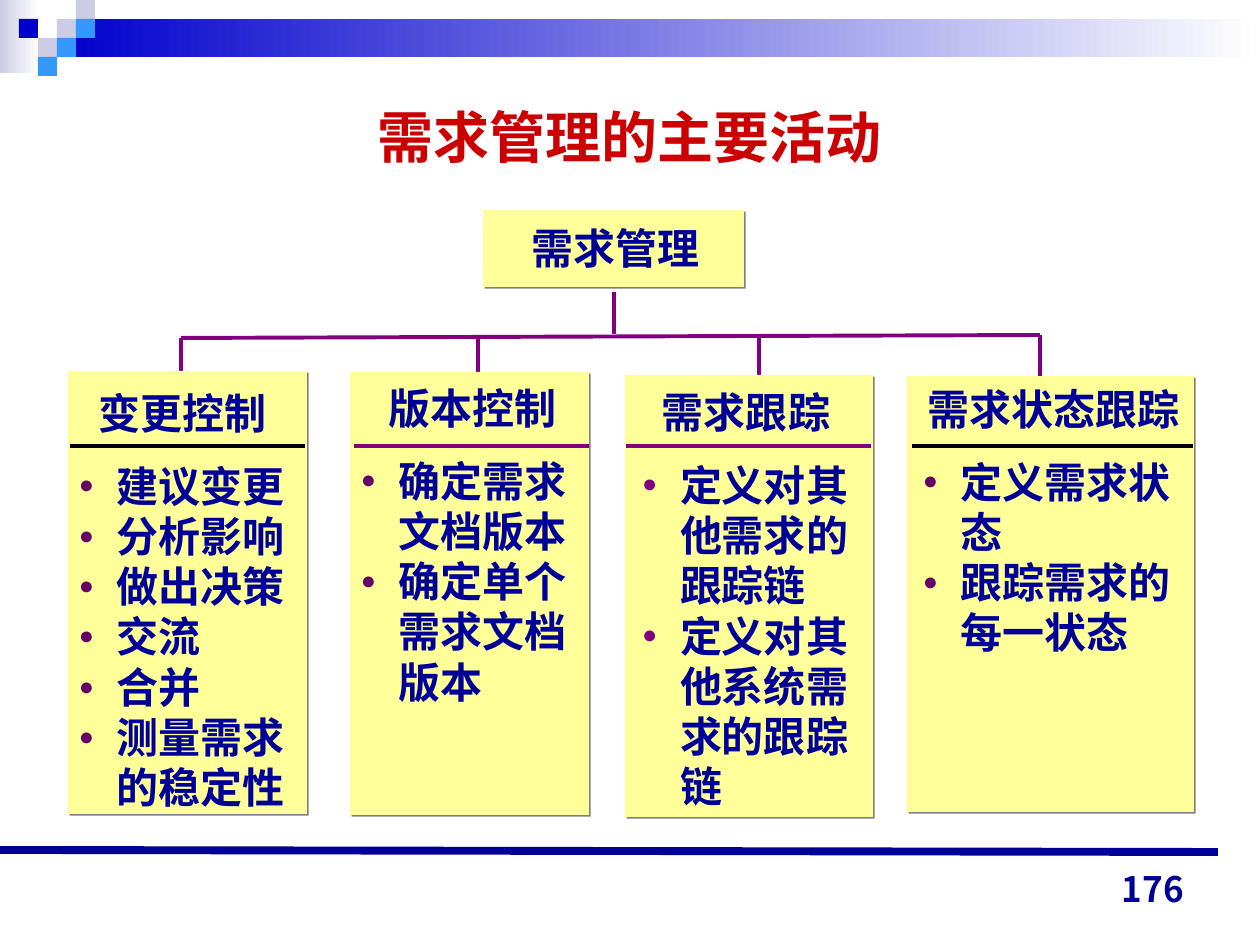
from dataclasses import dataclass

from lxml import etree
from pptx import Presentation
from pptx.dml.color import RGBColor
from pptx.enum.shapes import MSO_CONNECTOR, MSO_SHAPE
from pptx.enum.text import MSO_ANCHOR, PP_ALIGN
from pptx.oxml.ns import qn
from pptx.util import Emu, Pt

RECT, STRAIGHT = MSO_SHAPE.RECTANGLE, MSO_CONNECTOR.STRAIGHT
LEFT, CENTER, RIGHT = PP_ALIGN.LEFT, PP_ALIGN.CENTER, PP_ALIGN.RIGHT
TOP, MIDDLE, BOTTOM = MSO_ANCHOR.TOP, MSO_ANCHOR.MIDDLE, MSO_ANCHOR.BOTTOM
PX_PER_INCH = 126


@dataclass(frozen=True)
class Theme:
    navy: str = "000099"
    blue: str = "0000CC"
    sky: str = "3399FF"
    lavender: str = "CCCCE6"
    red: str = "CC0000"
    purple: str = "800080"
    plum: str = "660066"
    yellow: str = "FFFF99"
    shadow: str = "808080"
    white: str = "FFFFFF"
    black: str = "000000"
    title_size: int = 32
    body_size: int = 24
    number_size: int = 20
    body_leading: float = 28.75
    list_gap: float = 12.5
    title_font: str = "Arial"
    body_font: str = "Times New Roman"
    cjk_font: str = "Noto Sans CJK JP"


THEME = Theme()

# card box, text box, stem (x, top), heading indent (None = centred),
# rule (x from, x to, colour), bullet colour, heading, items
BRANCHES = [
    ((68, 371, 239, 443), (66, 378, 260, 441), (181, 338), 20,
     (70, 305, THEME.black), THEME.plum, "变更控制",
     ["建议变更", "分析影响", "做出决策", "交流", "合并", "测量需求的稳定性"]),
    ((350, 372, 239, 443), (348, 373, 249, 391), (478, 338), None,
     (354, 589, THEME.purple), THEME.plum, "版本控制",
     ["确定需求文档版本", "确定单个需求文档版本"]),
    ((625, 375, 248, 442), (629, 377, 259, 449), (759, 335), 20,
     (626, 871, THEME.purple), THEME.purple, "需求跟踪",
     ["定义对其他需求的跟踪链", "定义对其他系统需求的跟踪链"]),
    ((907, 376, 287, 436), (910, 374, 287, 290), (1040, 335), None,
     (912, 1193, THEME.black), THEME.plum, "需求状态跟踪",
     ["定义需求状态", "跟踪需求的每一状态"]),
]


def px(length):
    return Emu(round(length * 914400 / PX_PER_INCH))


def rgb(code):
    return RGBColor.from_string(code)


def assign(target, values):
    for name, value in values.items():
        setattr(target, name, value)


def add_block(slide, box, color=None):
    block = slide.shapes.add_shape(RECT, *map(px, box))
    block.shadow.inherit = False
    block.line.fill.background()
    if color:
        block.fill.solid()
        block.fill.fore_color.rgb = rgb(color)
    return block


def add_fade(slide, box, color):
    """Block fading from color at its left to white at its right."""
    fill = add_block(slide, box).fill
    fill.gradient()
    fill.gradient_angle = 180
    for stop, position, code in zip(fill.gradient_stops, (0, 1), (THEME.white, color)):
        assign(stop, {"position": position})
        stop.color.rgb = rgb(code)


def add_card(slide, box):
    """Yellow block with a hard shadow to the lower right."""
    card = add_block(slide, box, THEME.yellow)
    effects = card._element.spPr.find(qn("a:effectLst"))
    shadow = etree.SubElement(effects, qn("a:outerShdw"), dist=str(Pt(1.4)),
                              dir="2700000", algn="ctr", rotWithShape="0")
    etree.SubElement(shadow, qn("a:srgbClr"), val=THEME.shadow)


def add_line(slide, start, end, color, width=2.25):
    line = slide.shapes.add_connector(STRAIGHT, *map(px, (*start, *end)))
    line.line.color.rgb = rgb(color)
    line.line.width = Pt(width)
    etree.SubElement(line._element.spPr, qn("a:effectLst"))


def add_frame(slide, box, anchor=TOP, inset_top=6):
    frame = slide.shapes.add_textbox(*map(px, box)).text_frame
    assign(frame, {"word_wrap": True, "vertical_anchor": anchor,
                   "margin_left": px(13), "margin_right": px(13),
                   "margin_top": px(inset_top), "margin_bottom": px(6)})
    return frame


def write(paragraph, text, size, font, color=THEME.navy, **paragraph_format):
    assign(paragraph, paragraph_format)
    run = paragraph.add_run()
    run.text = text
    assign(run.font, {"size": Pt(size), "bold": True, "name": font})
    run.font.color.rgb = rgb(color)
    etree.SubElement(run.font._element, qn("a:ea"), typeface=THEME.cjk_font)


def write_body(paragraph, text, **paragraph_format):
    write(paragraph, text, THEME.body_size, THEME.body_font,
          line_spacing=Pt(THEME.body_leading), **paragraph_format)


def indent(paragraph, left, first=0):
    properties = paragraph._p.get_or_add_pPr()
    properties.set("marL", str(px(left)))
    properties.set("indent", str(px(first)))
    return properties


def add_bullet(paragraph, color):
    properties = indent(paragraph, 38, -38)
    bullet_color = etree.SubElement(properties, qn("a:buClr"))
    etree.SubElement(bullet_color, qn("a:srgbClr"), val=color)
    etree.SubElement(properties, qn("a:buSzPct"), val="60000")
    etree.SubElement(properties, qn("a:buFont"), typeface=THEME.title_font)
    etree.SubElement(properties, qn("a:buChar"), char="●")


def draw_banner(slide, left, top, width):
    cell = 19
    add_fade(slide, (left, top, 39, 73), THEME.lavender)
    add_fade(slide, (left + 3 * cell, top + cell, width - 3 * cell, 2 * cell), THEME.blue)
    mosaic = [(3, 1, THEME.lavender), (4, 0, THEME.lavender), (4, 1, THEME.sky),
              (2, 2, THEME.lavender), (1, 1, THEME.blue), (3, 2, THEME.sky),
              (2, 3, THEME.sky)]
    for column, row, color in mosaic:
        add_block(slide, (left + column * cell, top + row * cell, cell, cell), color)


def draw_title(slide, box):
    write(add_frame(slide, box, MIDDLE).paragraphs[0], "需求管理的主要活动",
          THEME.title_size, THEME.title_font, THEME.red, alignment=CENTER)


def draw_root(slide, left, top, width, height):
    add_card(slide, (left, top, width, height))
    frame = add_frame(slide, (left + 36, top + 3, 206, 82), inset_top=10)
    write_body(frame.paragraphs[0], "需求管理", alignment=LEFT)
    add_line(slide, (left + 131, top + 82), (left + 131, top + 124), THEME.purple)


def draw_branch(slide, card, text_box, stem, heading_indent, rule, bullet_color,
                heading, items):
    stem_x, stem_top = stem
    rule_from, rule_to, rule_color = rule
    rule_y = 446
    add_line(slide, stem, (stem_x, card[1]), THEME.purple)
    add_card(slide, card)
    add_line(slide, (rule_from, rule_y), (rule_to, rule_y), rule_color)
    frame = add_frame(slide, text_box, inset_top=10)
    title = frame.paragraphs[0]
    if heading_indent is not None:
        indent(title, heading_indent)
    write_body(title, heading, alignment=CENTER if heading_indent is None else LEFT)
    for number, item in enumerate(items):
        entry = frame.add_paragraph()
        add_bullet(entry, bullet_color)
        write_body(entry, item, alignment=LEFT,
                   space_before=Pt(0 if number else THEME.list_gap))


def draw_footer(slide, left, top, width):
    add_line(slide, (left, top), (left + width, top + 2), THEME.navy, 4.5)
    frame = add_frame(slide, (left + 903, top + 3, 294, 63), BOTTOM)
    write(frame.paragraphs[0], "176", THEME.number_size, THEME.cjk_font, alignment=RIGHT)


def main():
    presentation = Presentation()
    assign(presentation, {"slide_width": px(1260), "slide_height": px(945)})
    slide = presentation.slides.add_slide(presentation.slide_layouts[6])
    draw_banner(slide, 0, 0, 1260)
    draw_footer(slide, 0, 850, 1218)
    draw_title(slide, (63, 67, 1134, 139))
    draw_root(slide, 483, 210, 261, 77)
    add_line(slide, BRANCHES[-1][2], BRANCHES[0][2], THEME.purple)
    for branch in BRANCHES:
        draw_branch(slide, *branch)
    presentation.save("out.pptx")


if __name__ == "__main__":
    main()
